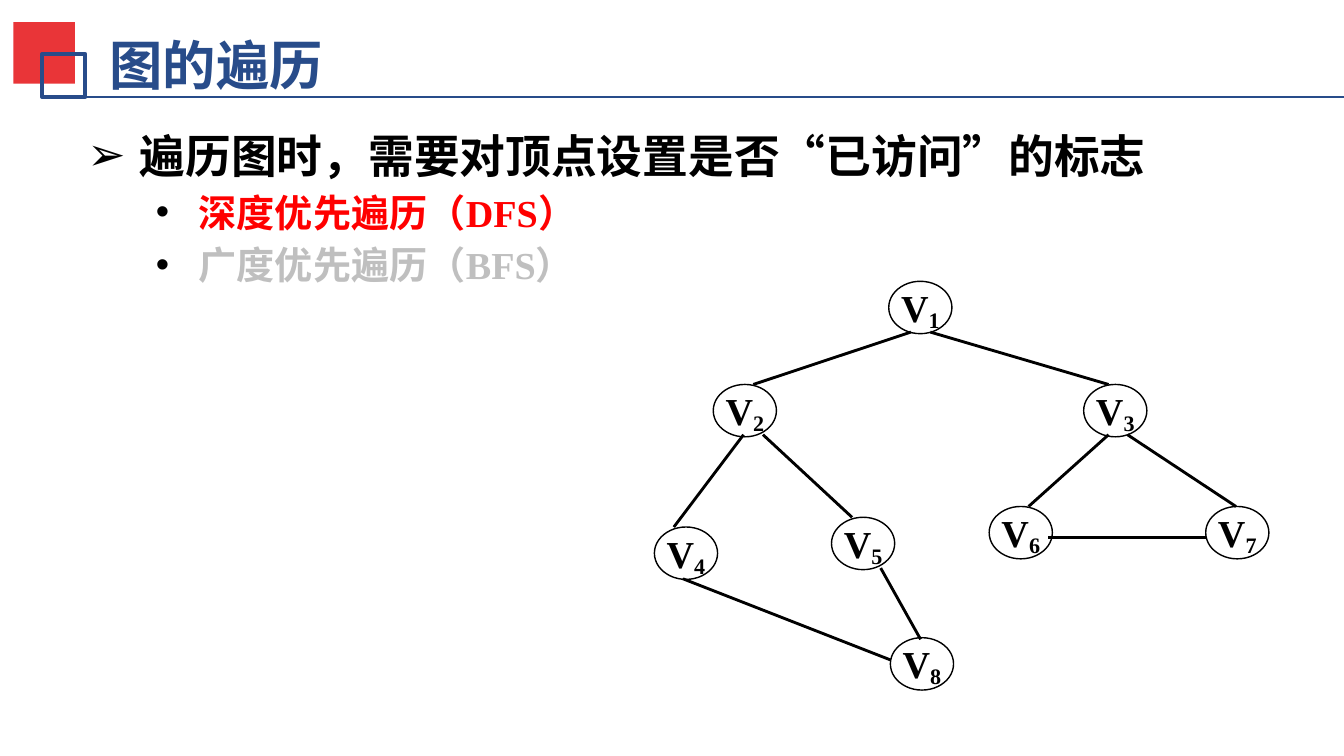
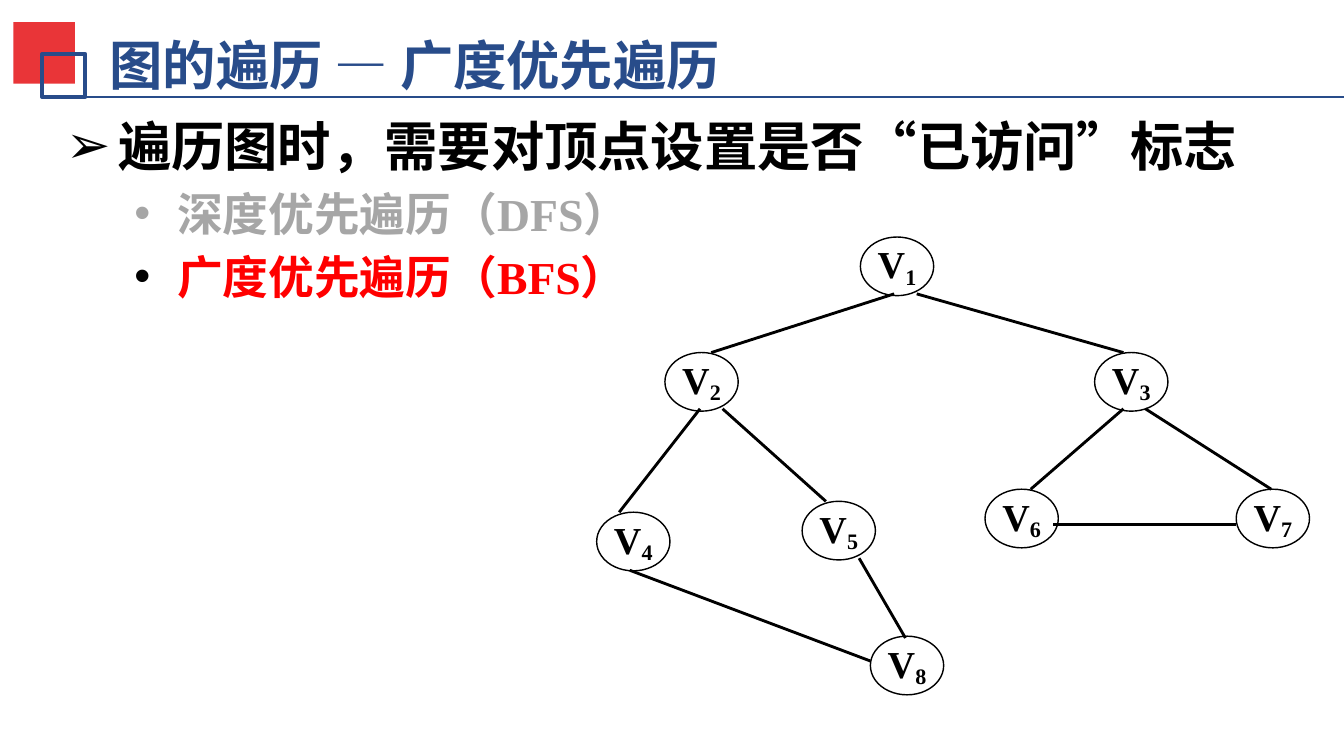
import pptx
import pptx.util
import pptx.dml.color
import pptx.enum.shapes
import pptx.enum.text
import pptx.oxml.ns
from lxml import etree

Cm, Pt = pptx.util.Cm, pptx.util.Pt
RGB = pptx.dml.color.RGBColor.from_string
SHAPE = pptx.enum.shapes.MSO_SHAPE
qn = pptx.oxml.ns.qn

THEME = {
    "blue": "284C8A", "red": "E93538", "ink": "000000", "paper": "FFFFFF",
    "accent": "FF0000", "light": "BFBFBF", "mid": "A6A6A6",
    "cjk": "Noto Sans CJK SC", "latin": "Times New Roman",
    "title": 28, "node": 20, "line_height": 1.15, "space_before": 0.23,
}

# Graph geometry in cm, measured from the left of V4 and the top of V1
NODE_SIZE = (1.17, 0.97)
NODES = {
    "1": (4.34, 0), "2": (1.09, 1.91), "3": (7.95, 1.91), "4": (0, 4.55),
    "5": (3.28, 4.37), "6": (6.2, 4.17), "7": (10.21, 4.17), "8": (4.37, 6.6),
}
EDGES = [
    (4.75, 0.94, 1.83, 1.91), (5.11, 0.94, 8.41, 1.91),
    (1.65, 2.84, 0.36, 4.55), (2.01, 2.84, 3.66, 4.37),
    (0.53, 5.51, 4.37, 7.01), (4.93, 6.63, 4.19, 5.31),
    (8.41, 2.84, 6.93, 4.17), (8.76, 2.84, 10.77, 4.17),
    (7.29, 4.75, 10.21, 4.75),
]

SLIDES = [
    {
        "title": "图的遍历",
        "box": (1.37, 2.13, 20.68, 3.68),
        "sizes": (24, 20),
        "lead": "遍历图时，需要对顶点设置是否“已访问”的标志",
        "items": [("深度优先遍历（", "DFS", "accent", "ink"),
                  ("广度优先遍历（", "BFS", "light", "ink")],
        "origin": (12.12, 5.21), "scale": (1, 1), "root_shift": 0,
    },
    {
        "title": "图的遍历 — 广度优先遍历",
        "box": (0.97, 1.88, 23.19, 4.17),
        "sizes": (28, 24),
        "lead": "遍历图时，需要对顶点设置是否“已访问”标志",
        "items": [("深度优先遍历（", "DFS", "mid", "mid"),
                  ("广度优先遍历（", "BFS", "accent", "ink")],
        "origin": (11.05, 4.39), "scale": (1.16, 1.12), "root_shift": -0.15,
    },
]


def add_run(p, text, size, color, font):
    r = p.add_run()
    r.text = text
    for name, value in {"size": Pt(size), "bold": True, "name": THEME[font]}.items():
        setattr(r.font, name, value)
    r.font.color.rgb = RGB(THEME[color])
    rPr = r._r.get_or_add_rPr()
    etree.SubElement(rPr, qn("a:ea")).set("typeface", THEME["cjk"])
    return rPr


def add_line(s, ends, color, width):
    line = s.shapes.add_connector(
        pptx.enum.shapes.MSO_CONNECTOR.STRAIGHT, *[Cm(v) for v in ends])
    line.line.color.rgb = RGB(THEME[color])
    line.line.width = Pt(width)
    etree.SubElement(line._element.spPr, qn("a:effectLst"))


prs = pptx.Presentation()
prs.slide_width, prs.slide_height = Cm(24.89), Cm(14)

for page in SLIDES:
    s = prs.slides.add_slide(prs.slide_layouts[6])

    # Title and its ornament
    tf = s.shapes.add_textbox(Cm(1.85), Cm(0.41), Cm(18.59), Cm(1.4)).text_frame
    tf.word_wrap = True
    for name, value in {"left": 0.18, "right": 0.18, "top": 0.23, "bottom": 0.1}.items():
        setattr(tf, "margin_" + name, Cm(value))
    p = tf.paragraphs[0]
    p.line_spacing = Pt(THEME["title"] * THEME["line_height"])
    add_run(p, page["title"], THEME["title"], "blue", "latin")

    red_square = s.shapes.add_shape(SHAPE.RECTANGLE, Cm(0.25), Cm(0.41), Cm(1.14), Cm(1.14))
    red_square.shadow.inherit = False
    red_square.fill.solid()
    red_square.fill.fore_color.rgb = RGB(THEME["red"])
    red_square.line.fill.background()

    blue_frame = s.shapes.add_shape(SHAPE.RECTANGLE, Cm(0.78), Cm(1), Cm(0.8), Cm(0.8))
    blue_frame.shadow.inherit = False
    blue_frame.fill.background()
    blue_frame.line.color.rgb = RGB(THEME["blue"])
    blue_frame.line.width = Pt(2)

    add_line(s, (0.97, 1.8, 24.89, 1.8), "blue", 0.75)

    # Bulleted text
    tf = s.shapes.add_textbox(*[Cm(v) for v in page["box"]]).text_frame
    tf.word_wrap = True
    tf.margin_top = Cm(0.27)
    lead_size, item_size = page["sizes"]
    rows = [(0, "➢", "ink", lead_size, 0.97, -0.97, [(page["lead"], "ink", "cjk")])]
    for text, short, color, bullet_color in page["items"]:
        runs = [(text, color, "cjk"), (short, color, "latin"), ("）", color, "cjk")]
        rows.append((1, "•", bullet_color, item_size, 2.06, -0.79, runs))
    for i, (level, bullet, bullet_color, size, margin, indent, runs) in enumerate(rows):
        p = tf.add_paragraph() if i else tf.paragraphs[0]
        p.level = level
        pPr = p._p.get_or_add_pPr()
        pPr.set("marL", str(Cm(margin)))
        pPr.set("indent", str(Cm(indent)))
        buClr = etree.SubElement(pPr, qn("a:buClr"))
        etree.SubElement(buClr, qn("a:srgbClr")).set("val", THEME[bullet_color])
        etree.SubElement(pPr, qn("a:buFont")).set("typeface", "Arial")
        etree.SubElement(pPr, qn("a:buChar")).set("char", bullet)
        p.line_spacing = Pt(size * THEME["line_height"])
        if i:
            p.space_before = Pt(size * THEME["space_before"])
        for text, color, font in runs:
            add_run(p, text, size, color, font)

    # Graph
    (left, top), (sx, sy) = page["origin"], page["scale"]
    for number, (x, y) in NODES.items():
        shift = page["root_shift"] if number == "1" else 0
        node = s.shapes.add_shape(
            SHAPE.OVAL, Cm(left + x * sx + shift), Cm(top + y * sy),
            Cm(NODE_SIZE[0] * sx), Cm(NODE_SIZE[1] * sy))
        node.shadow.inherit = False
        node.fill.solid()
        node.fill.fore_color.rgb = RGB(THEME["paper"])
        node.line.color.rgb = RGB(THEME["ink"])
        node.line.width = Pt(0.75)
        tf = node.text_frame
        for name, value in {"left": 0, "right": 0, "top": 0.1, "bottom": 0}.items():
            setattr(tf, "margin_" + name, Cm(value))
        tf.vertical_anchor = pptx.enum.text.MSO_ANCHOR.TOP
        p = tf.paragraphs[0]
        p.alignment = pptx.enum.text.PP_ALIGN.CENTER
        p.line_spacing = 0.72
        add_run(p, "V", THEME["node"], "ink", "latin")
        add_run(p, number, THEME["node"], "ink", "latin").set("baseline", "-16000")
    for x1, y1, x2, y2 in EDGES:
        ends = (left + x1 * sx, top + y1 * sy, left + x2 * sx, top + y2 * sy)
        add_line(s, ends, "ink", 1.5)

prs.save("out.pptx")
